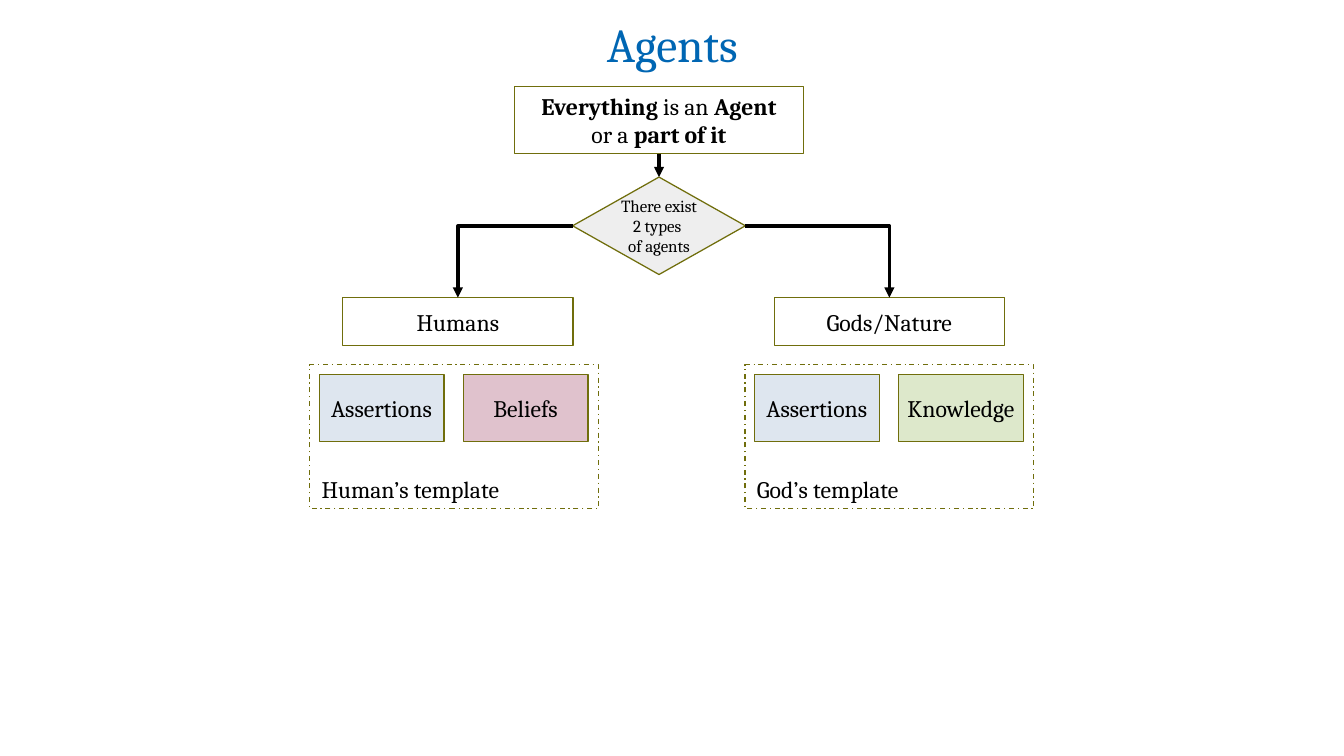
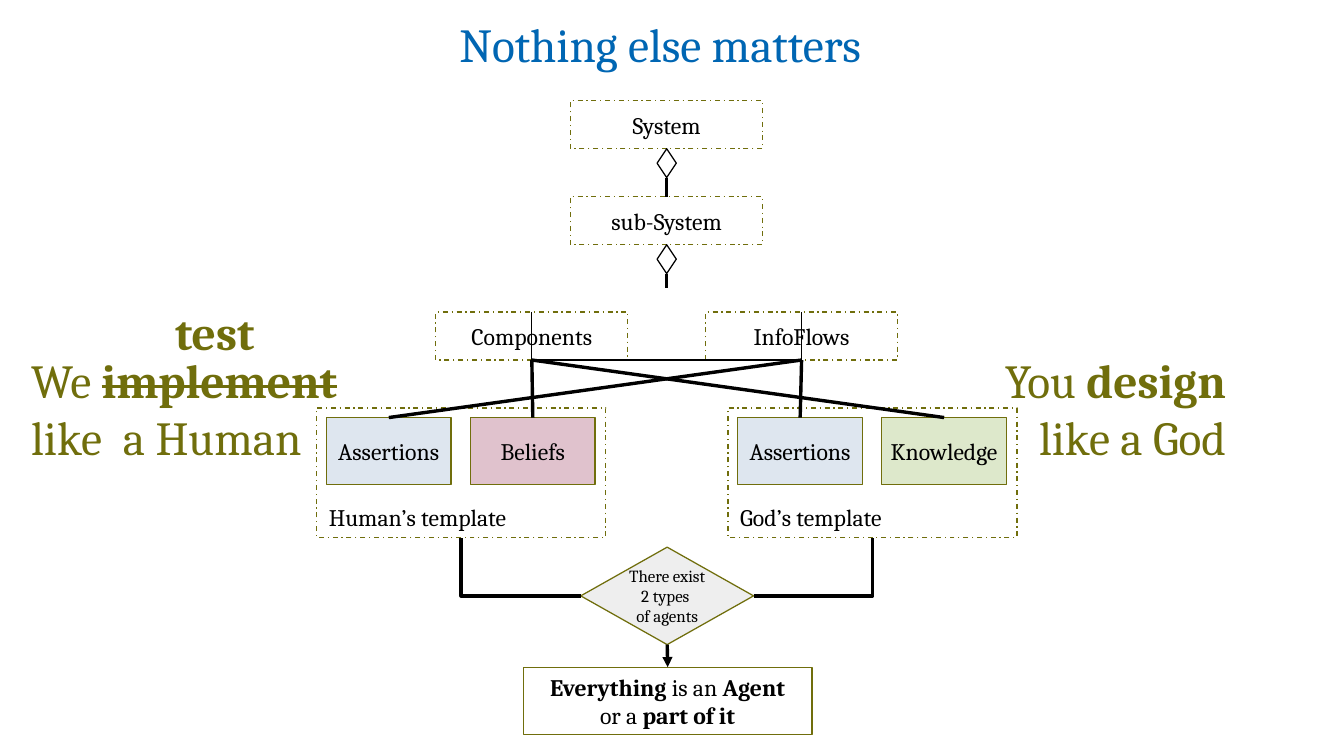
from lxml.etree import SubElement
from pptx import Presentation
from pptx.dml.color import RGBColor
from pptx.enum.dml import MSO_LINE
from pptx.enum.shapes import MSO_CONNECTOR as Link, MSO_SHAPE as Preset
from pptx.enum.text import MSO_ANCHOR as Anchor, PP_ALIGN as Align
from pptx.oxml.ns import qn
from pptx.util import Cm, Pt

FONT = "Cambria"
BLACK, WHITE, GREY = "000000", "FFFFFF", "EEEEEE"
BLUE, OLIVE = "0066B3", "706E0C"
ASSERTION, BELIEF, KNOWLEDGE = "DEE6EF", "E0C2CD", "DDE8CB"
TOP, LEFT, BOTTOM, RIGHT = range(4)
BOX_HEIGHT = 1.0
PART_SIZE, PART_INSET, PART_STEP = (2.6, 1.4), 0.2, 3.0


def rgb(value):
    """Turn a hex string into a colour."""
    return RGBColor.from_string(value)


def format_text(frame, size, color, align):
    """Give every paragraph and run of a frame one look."""
    for paragraph in frame.paragraphs:
        paragraph.alignment = align
        for run in paragraph.runs:
            run.font.name = FONT
            run.font.size = Pt(size)
            run.font.color.rgb = rgb(color)


def add_runs(paragraph, runs):
    """Add (text, bold) pairs as runs and return them."""
    added = []
    for text, bold in runs:
        run = paragraph.add_run()
        run.text = text
        run.font.bold = bold
        added.append(run)
    return added


def add_text(slide, left, top, width, height, runs, color, align=Align.LEFT):
    """Add a large wrapped text and return its runs."""
    box = slide.shapes.add_textbox(Cm(left), Cm(top), Cm(width), Cm(height))
    box.text_frame.word_wrap = True
    added = add_runs(box.text_frame.paragraphs[0], runs)
    format_text(box.text_frame, 28, color, align)
    return added


def add_title(slide, text, left, width, align=Align.LEFT):
    """Add the slide title."""
    add_text(slide, left, 0.18, width, 1.4, [(text, False)], BLUE, align)


def style_outline(shape, fill, line, dashed=False):
    """Set fill and hairline, and remove the shadow."""
    shape.shadow.inherit = False
    if fill:
        shape.fill.solid()
        shape.fill.fore_color.rgb = rgb(fill)
    else:
        shape.fill.background()
    shape.line.color.rgb = rgb(line)
    shape.line.width = 0
    if dashed:
        shape.line.dash_style = MSO_LINE.DASH_DOT


def add_box(slide, left, top, width, height, text="", fill=WHITE, line=OLIVE,
            preset=Preset.RECTANGLE, dashed=False, size=14,
            align=Align.CENTER, anchor=Anchor.MIDDLE):
    """Add an outlined shape with unwrapped text."""
    shape = slide.shapes.add_shape(preset, Cm(left), Cm(top), Cm(width), Cm(height))
    style_outline(shape, fill, line, dashed)
    frame = shape.text_frame
    frame.word_wrap = False
    frame.vertical_anchor = anchor
    frame.text = text
    format_text(frame, size, BLACK, align)
    return shape


def add_statement(slide, left, top):
    """Add the box with the main statement."""
    shape = add_box(slide, left, top, 6.02, 1.4)
    frame = shape.text_frame
    add_runs(frame.paragraphs[0],
             [("Everything", True), (" is an ", False), ("Agent", True)])
    add_runs(frame.add_paragraph(), [("or a ", False), ("part of it", True)])
    format_text(frame, 14, BLACK, Align.CENTER)
    return shape


def add_decision(slide, left, top):
    """Add the diamond that splits agents into two types."""
    return add_box(slide, left, top, 3.6, 2.03, "There exist\n2 types \nof agents",
                   fill=GREY, preset=Preset.DIAMOND, size=10)


def add_template(slide, left, top, height, label, parts):
    """Add a dashed frame and its coloured parts; return frame and parts."""
    frame = add_box(slide, left, top, 6.02, height, label, dashed=True,
                    align=Align.LEFT, anchor=Anchor.BOTTOM)
    boxes = [add_box(slide, left + PART_INSET + index * PART_STEP,
                     top + PART_INSET, *PART_SIZE, text, fill)
             for index, (text, fill) in enumerate(parts)]
    return frame, boxes


def add_templates(slide, lefts, top, height):
    """Add the human and the god template."""
    contents = [("Human’s template", ("Beliefs", BELIEF)),
                ("God’s template", ("Knowledge", KNOWLEDGE))]
    return [add_template(slide, left, top, height, label,
                         [("Assertions", ASSERTION), part])
            for left, (label, part) in zip(lefts, contents)]


def side_point(shape, side):
    """Return the middle of one side of a shape."""
    middle_x = shape.left + shape.width // 2
    middle_y = shape.top + shape.height // 2
    return {TOP: (middle_x, shape.top),
            LEFT: (shape.left, middle_y),
            BOTTOM: (middle_x, shape.top + shape.height),
            RIGHT: (shape.left + shape.width, middle_y)}[side]


def add_line(slide, start, end, arrow=False, bent=False):
    """Add a hairline connector between two points."""
    kind = Link.ELBOW if bent else Link.STRAIGHT
    connector = slide.shapes.add_connector(kind, *start, *end)
    connector.line.color.rgb = rgb(BLACK)
    connector.line.width = 0
    properties = connector._element.spPr
    if bent:
        properties.find(qn("a:prstGeom")).set("prst", "bentConnector2")
    if arrow:
        SubElement(properties.find(qn("a:ln")), qn("a:tailEnd"), type="triangle")
    SubElement(properties, qn("a:effectLst"))
    return connector


def join(slide, source, source_side, target, target_side, **look):
    """Join the sides of two shapes with a connector."""
    connector = add_line(slide, side_point(source, source_side),
                         side_point(target, target_side), **look)
    connector.begin_connect(source, source_side)
    connector.end_connect(target, target_side)


def add_bracket(slide, first, second):
    """Draw the open bracket through two boxes on one row."""
    corners = [side_point(first, TOP), side_point(first, BOTTOM),
               side_point(second, BOTTOM), side_point(second, TOP)]
    builder = slide.shapes.build_freeform(*corners[0], scale=1.0)
    builder.add_line_segments(corners[1:], close=False)
    style_outline(builder.convert_to_shape(), None, BLACK)


def build_agents(slide):
    """Build the slide on the two types of agents."""
    add_title(slide, "Agents", 12.24, 3.53, Align.CENTER)
    statement = add_statement(slide, 10.72, 1.8)
    decision = add_decision(slide, 11.93, 3.69)
    join(slide, statement, BOTTOM, decision, TOP, arrow=True)
    for text, left, side in [("Humans", 7.14, LEFT), ("Gods/Nature", 16.13, RIGHT)]:
        agent = add_box(slide, left, 6.2, 4.8, BOX_HEIGHT, text)
        join(slide, decision, side, agent, TOP, arrow=True, bent=True)
    add_templates(slide, (6.45, 15.52), 7.6, 3.0)


def build_system(slide):
    """Build the slide on the system and its templates."""
    add_title(slide, "Nothing else matters", 9.32, 9.35)
    center, box_width, row_offset = 13.89, 4.0, 2.81

    def add_level(text, middle, top):
        """Add one dashed box of the hierarchy."""
        return add_box(slide, middle - box_width / 2, top, box_width, BOX_HEIGHT,
                       text, fill=None, dashed=True)

    def add_aggregation(top):
        """Add the small diamond below a box."""
        return add_box(slide, center - 0.2, top, 0.4, 0.6, fill=None,
                       line=BLACK, preset=Preset.DIAMOND)

    add_level("System", center, 2.1)
    subsystem = add_level("sub-System", center, 4.1)
    join(slide, add_aggregation(3.1), BOTTOM, subsystem, TOP)
    start = side_point(add_aggregation(5.1), BOTTOM)
    add_line(slide, start, (start[0], Cm(6.0)))
    components = add_level("Components", center - row_offset, 6.5)
    flows = add_level("InfoFlows", center + row_offset, 6.5)
    add_bracket(slide, components, flows)

    human, god = add_templates(slide, (6.6, 15.17), 8.5, 2.7)
    statement = add_statement(slide, 10.9, 13.9)
    decision = add_decision(slide, 12.1, 11.4)
    join(slide, decision, BOTTOM, statement, TOP, arrow=True)
    for side, (frame, parts) in [(LEFT, human), (RIGHT, god)]:
        join(slide, decision, side, frame, BOTTOM, bent=True)
        assertions, own_part = parts
        join(slide, flows, BOTTOM, assertions, TOP)
        join(slide, components, BOTTOM, own_part, TOP)

    add_text(slide, 20.2, 7.2, 5.59, 2.57,
             [("You ", False), ("design", True), (" like a God", False)],
             OLIVE, Align.RIGHT)
    runs = add_text(slide, 0.4, 7.2, 7.2, 2.57,
                    [("We ", False), ("implement", True), (" like  a Human", False)],
                    OLIVE)
    runs[1]._r.get_or_add_rPr().set("strike", "sngStrike")
    add_text(slide, 3.4, 6.2, 2.4, 1.4, [("test", True)], OLIVE)


def main():
    """Build and save the presentation."""
    presentation = Presentation()
    presentation.slide_width, presentation.slide_height = Cm(28), Cm(15.75)
    for build in (build_agents, build_system):
        build(presentation.slides.add_slide(presentation.slide_layouts[6]))
    presentation.save("out.pptx")


if __name__ == "__main__":
    main()
